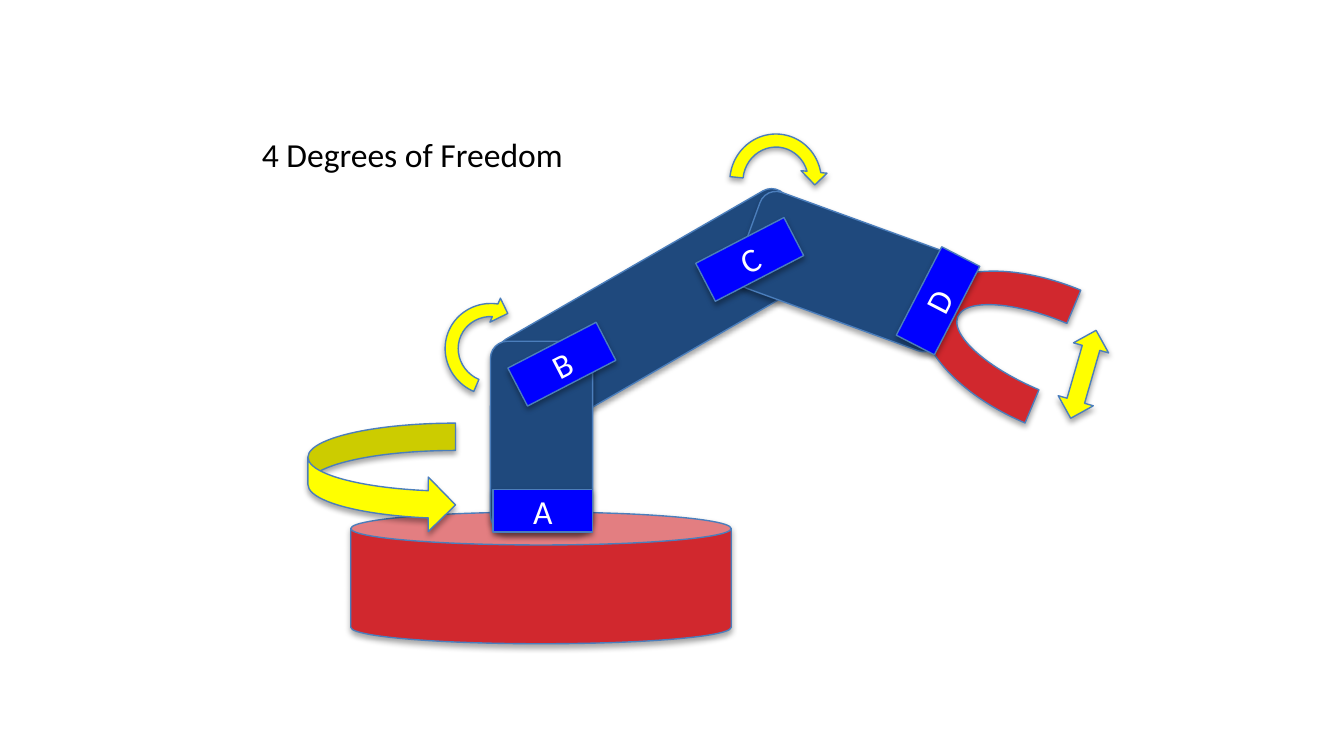
from lxml import etree
from pptx import Presentation
from pptx.dml.color import RGBColor
from pptx.enum import shapes, text
from pptx.oxml import ns
from pptx.util import Cm, Pt

RED = RGBColor(0xD1, 0x28, 0x2E)
NAVY = RGBColor(0x1F, 0x49, 0x7D)
YELLOW = RGBColor(0xFF, 0xFF, 0x00)
BLUE = RGBColor(0x00, 0x00, 0xFF)
OUTLINE = RGBColor(0x4B, 0x7E, 0xBC)
WHITE = RGBColor(0xFF, 0xFF, 0xFF)
BLACK = RGBColor(0x00, 0x00, 0x00)

KIND = shapes.MSO_SHAPE
TITLE = "4 Degrees of Freedom"
ARM_WIDTH = 1.93
TURN_SIZE = (1.98, 2.03)
JOINT_SIZE = (1.88, 0.81)

# kind, colour, left, top, width, height, rotation
PARTS = [
    (KIND.CAN, RED, 6.63, 9.68, 7.19, 2.49, 0),
    (KIND.ROUNDED_RECTANGLE, NAVY, 9.35, 4.88, 6.25, ARM_WIDTH, 330),
    (KIND.ROUNDED_RECTANGLE, NAVY, 8.43, 7.29, 3.61, ARM_WIDTH, 270),
    (KIND.ROUNDED_RECTANGLE, NAVY, 14.02, 4.17, 4.09, ARM_WIDTH, 20),
    (KIND.BLOCK_ARC, RED, 18.54, 4.11, 2.72, 5.26, 292.8),
    (KIND.CURVED_RIGHT_ARROW, YELLOW, 5.82, 8, 2.79, 2.06, 0),
    (KIND.CIRCULAR_ARROW, YELLOW, 8.31, 5.59, *TURN_SIZE, 293.6),
    (KIND.CIRCULAR_ARROW, YELLOW, 13.67, 2.41, *TURN_SIZE, 5.6),
    (KIND.LEFT_RIGHT_ARROW, YELLOW, 19.61, 6.73, 1.73, 0.69, 106.1),
]

JOINTS = [
    ("B", 9.68, 6.48, 332.6),
    ("C", 13.23, 4.5, 332.6),
    ("D", 16.79, 5.28, 297.2),
    ("A", 9.32, 9.25, 0),
]


def add_shadow(shape):
    shape.shadow.inherit = False
    effects = shape._element.spPr.find(ns.qn("a:effectLst"))
    shadow = etree.SubElement(
        effects, ns.qn("a:outerShdw"), blurRad=str(Pt(3.1)),
        dist=str(Pt(1.8)), dir="5400000", rotWithShape="0")
    colour = etree.SubElement(shadow, ns.qn("a:srgbClr"), val=str(BLACK))
    etree.SubElement(colour, ns.qn("a:alpha"), val="35000")


def add_part(slide, kind, colour, left, top, width, height, rotation):
    shape = slide.shapes.add_shape(kind, Cm(left), Cm(top), Cm(width), Cm(height))
    shape.rotation = rotation
    shape.fill.solid()
    shape.fill.fore_color.rgb = colour
    shape.line.color.rgb = OUTLINE
    shape.line.width = Pt(0.75)
    add_shadow(shape)
    return shape


def write(frame, words, colour, alignment):
    paragraph = frame.paragraphs[0]
    paragraph.text = words
    paragraph.alignment = alignment
    paragraph.font.name = "Calibri"
    paragraph.font.size = Pt(18)
    paragraph.font.color.rgb = colour


def main():
    presentation = Presentation()
    presentation.slide_width, presentation.slide_height = Cm(25.4), Cm(14.29)
    slide = presentation.slides.add_slide(presentation.slide_layouts[6])

    for part in PARTS:
        add_part(slide, *part)

    for letter, left, top, rotation in JOINTS:
        joint = add_part(slide, KIND.RECTANGLE, BLUE, left, top, *JOINT_SIZE, rotation)
        joint.text_frame.vertical_anchor = text.MSO_ANCHOR.MIDDLE
        write(joint.text_frame, letter, WHITE, text.PP_ALIGN.CENTER)

    title = slide.shapes.add_textbox(Cm(4.7), Cm(2.41), Cm(6.93), Cm(1.02))
    title.text_frame.word_wrap = False
    title.text_frame.auto_size = text.MSO_AUTO_SIZE.SHAPE_TO_FIT_TEXT
    write(title.text_frame, TITLE, BLACK, text.PP_ALIGN.LEFT)

    presentation.save("out.pptx")


if __name__ == "__main__":
    main()
